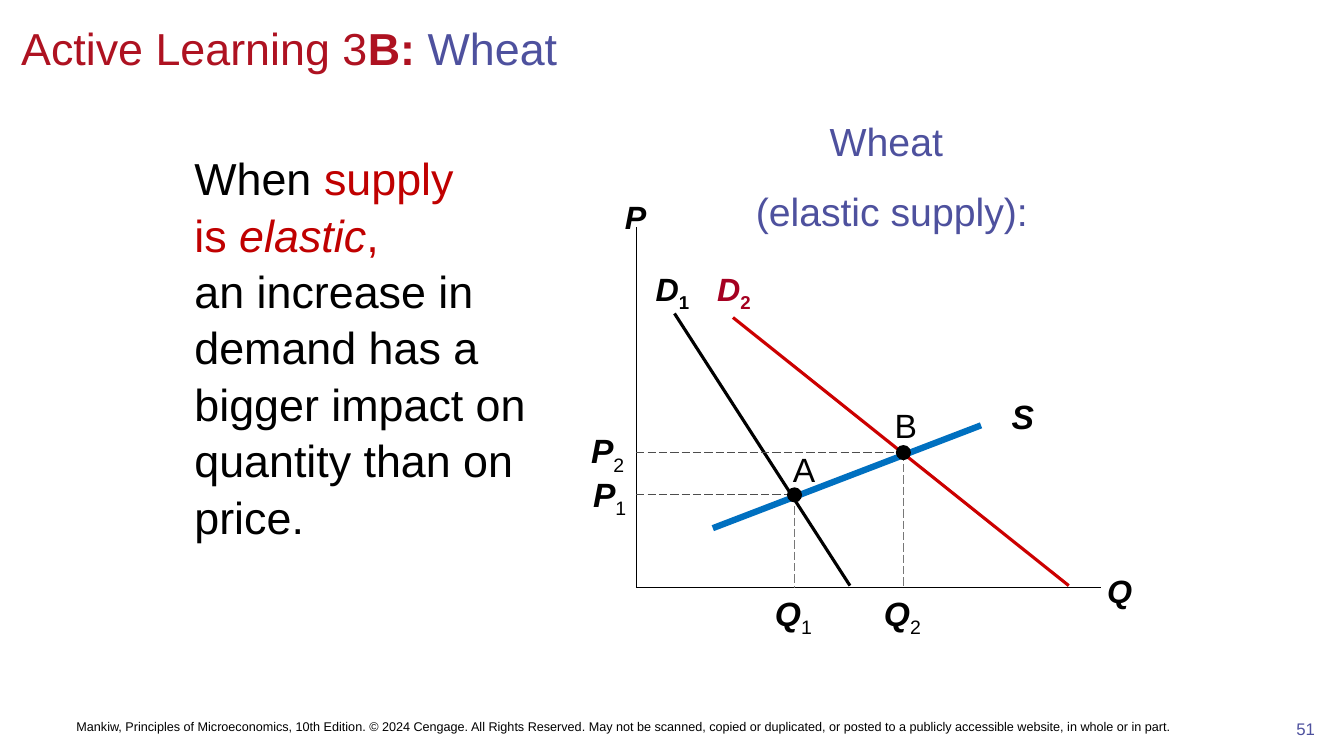
from dataclasses import dataclass
from typing import Optional

from lxml.etree import SubElement
from pptx import Presentation
from pptx.dml.color import RGBColor
from pptx.enum.dml import MSO_LINE
from pptx.enum.shapes import MSO_CONNECTOR, MSO_SHAPE
from pptx.enum.text import MSO_ANCHOR, PP_ALIGN
from pptx.oxml.ns import qn
from pptx.util import Inches, Pt


@dataclass(frozen=True)
class Theme:
    font: str = "Arial"
    black: str = "000000"
    crimson: str = "AE1221"
    indigo: str = "4E519E"
    red: str = "C00000"
    demand: str = "CC0000"
    demand_label: str = "A50021"
    supply: str = "0070C0"
    price_guide: str = "4D4D4D"
    quantity_guide: str = "777777"
    large: float = 32
    heading: float = 28
    label: float = 24
    axis: float = 23
    number: float = 12
    credit: float = 9


THEME = Theme()


@dataclass(frozen=True)
class Span:
    text: str
    color: Optional[str] = None
    bold: Optional[bool] = None
    italic: Optional[bool] = None
    subscript: bool = False


@dataclass(frozen=True)
class Label:
    name: str
    left: float
    top: float
    width: float
    size: float = THEME.label
    index: str = ""
    color: str = THEME.black
    emphasis: bool = True
    bold_index: bool = False
    align: PP_ALIGN = PP_ALIGN.CENTER


@dataclass(frozen=True)
class Stroke:
    start: tuple[float, float]
    end: tuple[float, float]
    color: str = THEME.black
    width: float = 0.75
    dashed: bool = False


@dataclass(frozen=True)
class Equilibrium:
    x: float
    y: float


def write(frame, lines: list[list[Span]], size: float, color: str = THEME.black,
          align: PP_ALIGN = PP_ALIGN.LEFT, spacing: Optional[float] = None,
          gap: float = 0, wrap: bool = True, anchor=MSO_ANCHOR.TOP) -> None:
    frame.word_wrap = wrap
    frame.vertical_anchor = anchor
    for number, spans in enumerate(lines):
        para = frame.add_paragraph() if number else frame.paragraphs[0]
        para.alignment = align
        para.line_spacing = spacing
        para.space_before = Pt(gap if number else 0)
        para.font.name = THEME.font
        para.font.size = Pt(size)
        para.font.color.rgb = RGBColor.from_string(color)
        for span in spans:
            if span.text == "\n":
                para.add_line_break()
                continue
            run = para.add_run()
            run.text = span.text
            run.font.bold = span.bold
            run.font.italic = span.italic
            if span.color:
                run.font.color.rgb = RGBColor.from_string(span.color)
            if span.subscript:
                run.font._element.set("baseline", "-25000")


def add_box(page, left: float, top: float, width: float, height: float):
    box = page.shapes.add_textbox(Inches(left), Inches(top), Inches(width), Inches(height))
    return box.text_frame


def draw_stroke(page, stroke: Stroke) -> None:
    points = [Inches(value) for value in (*stroke.start, *stroke.end)]
    line = page.shapes.add_connector(MSO_CONNECTOR.STRAIGHT, *points)
    line.line.color.rgb = RGBColor.from_string(stroke.color)
    line.line.width = Pt(stroke.width)
    if stroke.dashed:
        line.line.dash_style = MSO_LINE.LONG_DASH
    SubElement(line._element.spPr, qn("a:effectLst"))


def draw_dot(page, point: Equilibrium, diameter: float = 0.15) -> None:
    dot = page.shapes.add_shape(
        MSO_SHAPE.OVAL, Inches(point.x - diameter / 2), Inches(point.y - diameter / 2),
        Inches(diameter), Inches(diameter))
    dot.shadow.inherit = False
    dot.fill.solid()
    dot.fill.fore_color.rgb = RGBColor.from_string(THEME.black)
    dot.line.fill.background()


def draw_label(page, label: Label) -> None:
    spans = [Span(label.name, bold=label.emphasis, italic=label.emphasis)]
    if label.index:
        spans.append(Span(label.index, bold=label.bold_index, subscript=True))
    frame = add_box(page, label.left, label.top, label.width, 0.5)
    write(frame, [spans], label.size, label.color, label.align)


ORIGIN = (6.31, 5.83)
POINTS = [Equilibrium(7.88, 4.91), Equilibrium(8.96, 4.49)]
CURVES = [
    Stroke((9.73, 4.22), (7.07, 5.24), THEME.supply, 4.5),
    Stroke((6.31, 2.25), ORIGIN),
    Stroke(ORIGIN, (10.92, 5.83)),
    Stroke((6.69, 3.11), (8.43, 5.81), width=2.25),
    Stroke((7.27, 3.15), (10.6, 5.81), THEME.demand, 2.25),
]
LABELS = [
    Label("S", 9.81, 3.88, 0.67),
    Label("P", 6.08, 1.91, 0.45, THEME.axis),
    Label("Q", 10.88, 5.62, 0.45, THEME.axis),
    Label("D", 6.34, 2.62, 0.66, THEME.axis, "1", bold_index=True),
    Label("D", 6.95, 2.62, 0.66, THEME.axis, "2", THEME.demand_label, bold_index=True),
    Label("Q", 7.55, 5.83, 0.64, index="1"),
    Label("Q", 8.63, 5.83, 0.64, index="2"),
    Label("P", 5.64, 4.65, 0.67, index="1", align=PP_ALIGN.RIGHT),
    Label("P", 5.62, 4.22, 0.67, index="2", align=PP_ALIGN.RIGHT),
    Label("A", 7.76, 4.4, 0.43, emphasis=False),
    Label("B", 8.77, 3.97, 0.43, emphasis=False),
]


def main() -> None:
    deck = Presentation()
    deck.slide_width, deck.slide_height = Inches(13.33), Inches(7.5)
    page = deck.slides.add_slide(deck.slide_layouts[5])

    # Title
    title = page.shapes.title
    title.left, title.top = Inches(0.11), Inches(0.11)
    title.width, title.height = Inches(13), Inches(0.72)
    write(title.text_frame,
          [[Span("Active Learning 3"), Span("B: ", bold=True), Span("Wheat", THEME.indigo)]],
          THEME.large, THEME.crimson, wrap=False, anchor=MSO_ANCHOR.MIDDLE)

    # Explanation
    write(add_box(page, 1.83, 1.42, 4, 5.42),
          [[Span("When "), Span("supply ", THEME.red), Span("\n"), Span("is ", THEME.red),
            Span("elastic", THEME.red, italic=True), Span(", ", THEME.red), Span("\n"),
            Span("an increase in demand has a bigger impact on quantity than on price.")]],
          THEME.large, spacing=1.05)

    # Graph heading
    write(add_box(page, 6.81, 1.09, 4.07, 1.32),
          [[Span("Wheat ")], [Span("(elastic supply):")]],
          THEME.heading, THEME.indigo, PP_ALIGN.CENTER, spacing=1.05, gap=14.5)

    # Axes, curves and guides to the axes
    for curve in CURVES:
        draw_stroke(page, curve)
    for point in POINTS:
        centre = (point.x, point.y)
        draw_stroke(page, Stroke((ORIGIN[0], point.y), centre, THEME.price_guide, dashed=True))
        draw_stroke(page, Stroke(centre, (point.x, ORIGIN[1]), THEME.quantity_guide, dashed=True))
        draw_dot(page, point)
    for label in LABELS:
        draw_label(page, label)

    # Footer
    write(add_box(page, 0.66, 6.92, 12.11, 0.58),
          [[Span("Mankiw, Principles of Microeconomics, 10th Edition. © 2024 Cengage. "
                 "All Rights Reserved. May not be scanned, copied or duplicated, or posted "
                 "to a publicly accessible website, in whole or in part.")]],
          THEME.credit, anchor=MSO_ANCHOR.MIDDLE)
    write(add_box(page, 12.57, 7.08, 0.76, 0.41), [[Span("51")]],
          THEME.number, THEME.indigo, PP_ALIGN.CENTER)

    deck.save("out.pptx")


if __name__ == "__main__":
    main()
